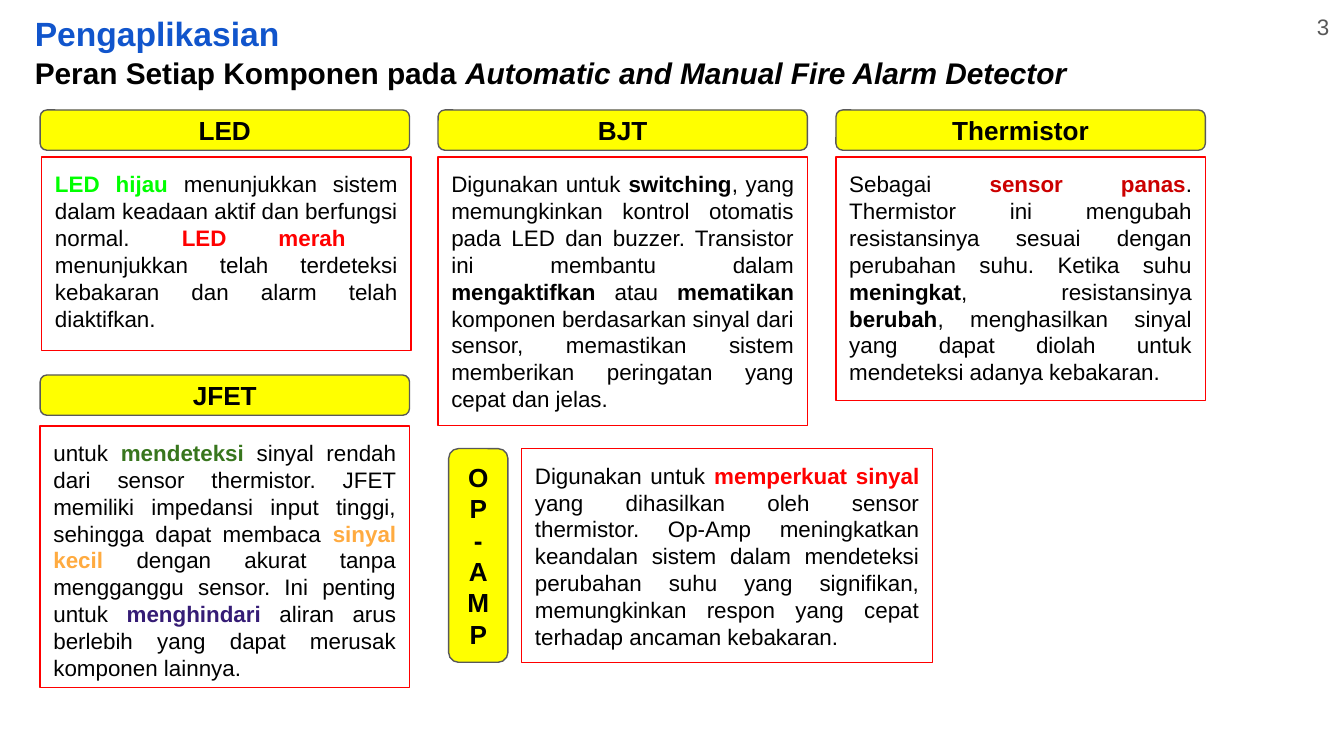
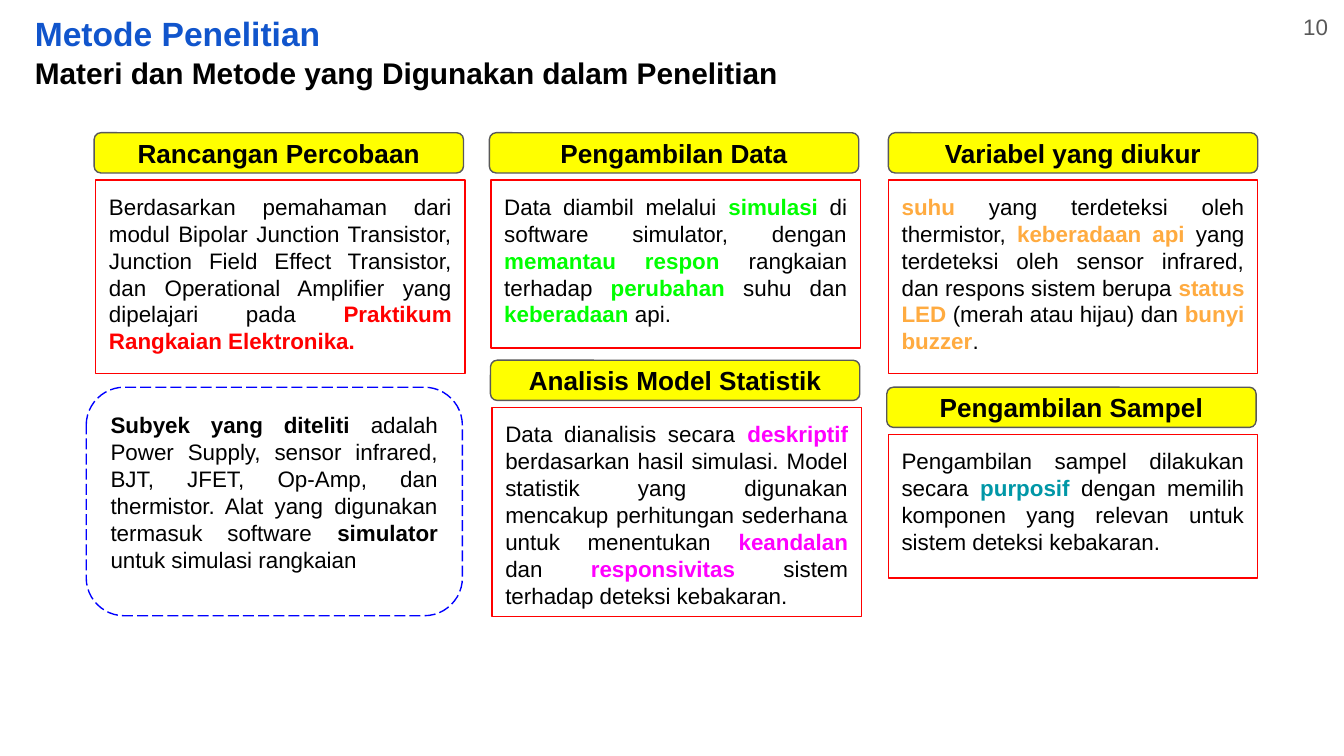
from dataclasses import dataclass
from typing import NamedTuple

import pptx
import pptx.dml.color
import pptx.enum.dml
import pptx.enum.shapes
import pptx.enum.text
import pptx.util

Cm = pptx.util.Cm
Pt = pptx.util.Pt
Align = pptx.enum.text.PP_ALIGN
Anchor = pptx.enum.text.MSO_ANCHOR
Form = pptx.enum.shapes.MSO_SHAPE
Dash = pptx.enum.dml.MSO_LINE


@dataclass(frozen=True)
class Theme:
    font: str = "Arial"
    black: str = "000000"
    white: str = "FFFFFF"
    gray: str = "595959"
    title: str = "1155CC"
    yellow: str = "FFFF00"
    red: str = "FF0000"
    dark_red: str = "CC0000"
    lime: str = "00FF00"
    green: str = "38761D"
    orange: str = "FFAB40"
    purple: str = "351C75"
    pink: str = "FF00FF"
    teal: str = "0097A7"
    blue: str = "0000FF"
    title_size: float = 18
    sub_size: float = 16
    head_size: float = 14
    body_size: float = 12
    line: float = 0.75
    inset: float = 0.25


THEME = Theme()


class Run(NamedTuple):
    text: str
    color: str = THEME.black
    bold: bool = False
    slant: bool = False


class Box(NamedTuple):
    left: float
    top: float
    wide: float
    high: float


class Card(NamedTuple):
    head: Box
    body: Box
    name: list[str]
    runs: list[Run]


class Page(NamedTuple):
    number: Box
    label: str
    title: Box
    name: str
    lead: list[Run]
    cards: list[Card]


WIDE, HEAD, DROP, SHIFT = 6.98, 0.76, 0.89, 0.03


def bold(text: str, color: str = THEME.black) -> Run:
    return Run(text, color, True)


def stack(name: str, left: float, top: float, high: float, runs: list[Run],
          shift: float = 0, drop: float = DROP) -> Card:
    return Card(Box(left, top, WIDE, HEAD),
                Box(left + shift, top + drop, WIDE, high), [name], runs)


def paint(code: str) -> pptx.dml.color.RGBColor:
    return pptx.dml.color.RGBColor.from_string(code)


def place(box: Box) -> list[pptx.util.Length]:
    return [Cm(side) for side in box]


def write(shape, lines: list[list[Run]], size: float, align=Align.LEFT,
          anchor=Anchor.TOP) -> None:
    frame = shape.text_frame
    frame.word_wrap = True
    frame.vertical_anchor = anchor
    frame.margin_left = frame.margin_right = Cm(THEME.inset)
    frame.margin_top = frame.margin_bottom = Cm(THEME.inset)
    for index, line in enumerate(lines):
        para = frame.add_paragraph() if index else frame.paragraphs[0]
        para.alignment = align
        for item in line:
            run = para.add_run()
            run.text = item.text
            run.font.name = THEME.font
            run.font.size = Pt(size)
            run.font.bold = item.bold
            run.font.italic = item.slant
            run.font.color.rgb = paint(item.color)


def label(slide, box: Box, runs: list[Run], size: float) -> None:
    write(slide.shapes.add_textbox(*place(box)), [runs], size)


def panel(slide, form, box: Box, fill: str, edge: str):
    shape = slide.shapes.add_shape(form, *place(box))
    shape.shadow.inherit = False
    shape.fill.solid()
    shape.fill.fore_color.rgb = paint(fill)
    shape.line.color.rgb = paint(edge)
    shape.line.width = Pt(THEME.line)
    return shape


def draw_card(slide, card: Card) -> None:
    head = panel(slide, Form.ROUNDED_RECTANGLE, card.head, THEME.yellow, THEME.gray)
    write(head, [[bold(line)] for line in card.name], THEME.head_size,
          Align.CENTER, Anchor.MIDDLE)
    body = panel(slide, Form.RECTANGLE, card.body, THEME.white, THEME.red)
    write(body, [card.runs], THEME.body_size, Align.JUSTIFY)


def draw_note(slide, box: Box, runs: list[Run]) -> None:
    note = panel(slide, Form.ROUNDED_RECTANGLE, box, THEME.white, THEME.blue)
    note.line.dash_style = Dash.LONG_DASH
    write(note, [runs], THEME.body_size, Align.JUSTIFY)


def draw_page(deck, page: Page):
    slide = deck.slides.add_slide(deck.slide_layouts[6])
    label(slide, page.number, [Run(page.label, THEME.gray)], THEME.body_size)
    label(slide, page.title, [bold(page.name, THEME.title)], THEME.title_size)
    label(slide, Box(0.41, 0.79, 20.7, 0.91), page.lead, THEME.sub_size)
    for card in page.cards:
        draw_card(slide, card)
    return slide


COLS = [0.76 + 7.52 * step for step in range(3)]
ROLES = Page(
    Box(24.64, 0, 0.76, 0.91), "3",
    Box(0.41, 0, 5.61, 1.17), "Pengaplikasian",
    [bold("Peran Setiap Komponen pada "),
     Run("Automatic and Manual Fire Alarm Detector", bold=True, slant=True)],
    [
        stack("LED", COLS[0], 2.08, 3.66, [
            bold("LED hijau", THEME.lime),
            Run(" menunjukkan sistem dalam keadaan aktif dan berfungsi normal. "),
            bold("LED merah ", THEME.red),
            Run(" menunjukkan telah terdeteksi kebakaran dan alarm telah diaktifkan."),
        ], SHIFT),
        stack("BJT", COLS[1], 2.08, 5.08, [
            Run("Digunakan untuk "), bold("switching"),
            Run(", yang memungkinkan kontrol otomatis pada LED dan buzzer. "
                "Transistor ini membantu dalam "),
            bold("mengaktifkan "), Run("atau "), bold("mematikan"),
            Run(" komponen berdasarkan sinyal dari sensor, memastikan sistem "
                "memberikan peringatan yang cepat dan jelas."),
        ]),
        stack("JFET", COLS[0], 7.09, 4.95, [
            Run("untuk "), bold("mendeteksi", THEME.green),
            Run(" sinyal rendah dari sensor thermistor. JFET memiliki impedansi "
                "input tinggi, sehingga dapat membaca "),
            bold("sinyal kecil", THEME.orange),
            Run(" dengan akurat tanpa mengganggu sensor. Ini penting untuk "),
            bold("menghindari", THEME.purple),
            Run(" aliran arus berlebih yang dapat merusak komponen lainnya."),
        ], drop=0.96),
        stack("Thermistor", COLS[2], 2.08, 4.6, [
            Run("Sebagai "), bold("sensor panas", THEME.dark_red),
            Run(". Thermistor ini mengubah resistansinya sesuai dengan "
                "perubahan suhu. Ketika suhu "),
            bold("meningkat"), Run(", resistansinya "), bold("berubah"),
            Run(", menghasilkan sinyal yang dapat diolah untuk mendeteksi "
                "adanya kebakaran."),
        ]),
        Card(Box(8.48, 8.48, 1.12, 4.04), Box(9.86, 8.48, 7.77, 4.04),
             ["OP", "-AMP"], [
            Run("Digunakan untuk "), bold("memperkuat sinyal", THEME.red),
            Run(" yang dihasilkan oleh sensor thermistor. Op-Amp meningkatkan "
                "keandalan sistem dalam mendeteksi perubahan suhu yang signifikan, "
                "memungkinkan respon yang cepat terhadap ancaman kebakaran."),
        ]),
    ],
)

METHODS = Page(
    Box(24.38, 0, 1.02, 0.91), "10",
    Box(0.41, 0, 8.53, 1.17), "Metode Penelitian",
    [bold("Materi dan Metode yang Digunakan dalam Penelitian")],
    [
        stack("Rancangan Percobaan", 1.78, 2.51, 3.66, [
            Run("Berdasarkan pemahaman dari modul Bipolar Junction Transistor, "
                "Junction Field Effect Transistor, dan Operational Amplifier "
                "yang dipelajari pada "),
            bold("Praktikum Rangkaian Elektronika.", THEME.red),
        ], SHIFT),
        stack("Pengambilan Sampel", 16.76, 7.32, 2.72, [
            Run("Pengambilan sampel dilakukan secara "),
            bold("purposif", THEME.teal),
            Run(" dengan memilih komponen yang relevan untuk sistem deteksi "
                "kebakaran."),
        ], SHIFT),
        stack("Variabel yang diukur", 16.79, 2.51, 3.66, [
            bold("suhu", THEME.orange), Run(" yang terdeteksi oleh thermistor, "),
            bold("keberadaan api", THEME.orange),
            Run(" yang terdeteksi oleh sensor infrared, dan respons sistem berupa "),
            bold("status LED ", THEME.orange), Run("(merah atau hijau) dan "),
            bold("bunyi buzzer", THEME.orange), Run("."),
        ]),
        stack("Pengambilan Data", 9.25, 2.51, 3.18, [
            Run("Data diambil melalui "), bold("simulasi ", THEME.lime),
            Run("di software simulator, dengan "),
            bold("memantau respon", THEME.lime), Run(" rangkaian terhadap "),
            bold("perubahan ", THEME.lime), Run("suhu dan "),
            bold("keberadaan ", THEME.lime), Run("api."),
        ], SHIFT),
        stack("Analisis Model Statistik", 9.27, 6.81, 3.96, [
            Run("Data dianalisis secara "), bold("deskriptif", THEME.pink),
            Run(" berdasarkan hasil simulasi. Model statistik yang digunakan "
                "mencakup perhitungan sederhana untuk menentukan "),
            bold("keandalan", THEME.pink), Run(" dan "),
            bold("responsivitas", THEME.pink),
            Run(" sistem terhadap deteksi kebakaran."),
        ], SHIFT),
    ],
)

SUBJECT = [
    bold("Subyek yang diteliti"),
    Run(" adalah Power Supply, sensor infrared, BJT, JFET, Op-Amp, dan "
        "thermistor. Alat yang digunakan termasuk software "),
    bold("simulator "), Run("untuk simulasi rangkaian"),
]


def main() -> None:
    deck = pptx.Presentation()
    deck.slide_width, deck.slide_height = Cm(25.4), Cm(14.29)
    draw_page(deck, ROLES)
    draw_note(draw_page(deck, METHODS), Box(1.63, 7.32, 7.11, 4.32), SUBJECT)
    deck.save("out.pptx")


if __name__ == "__main__":
    main()
